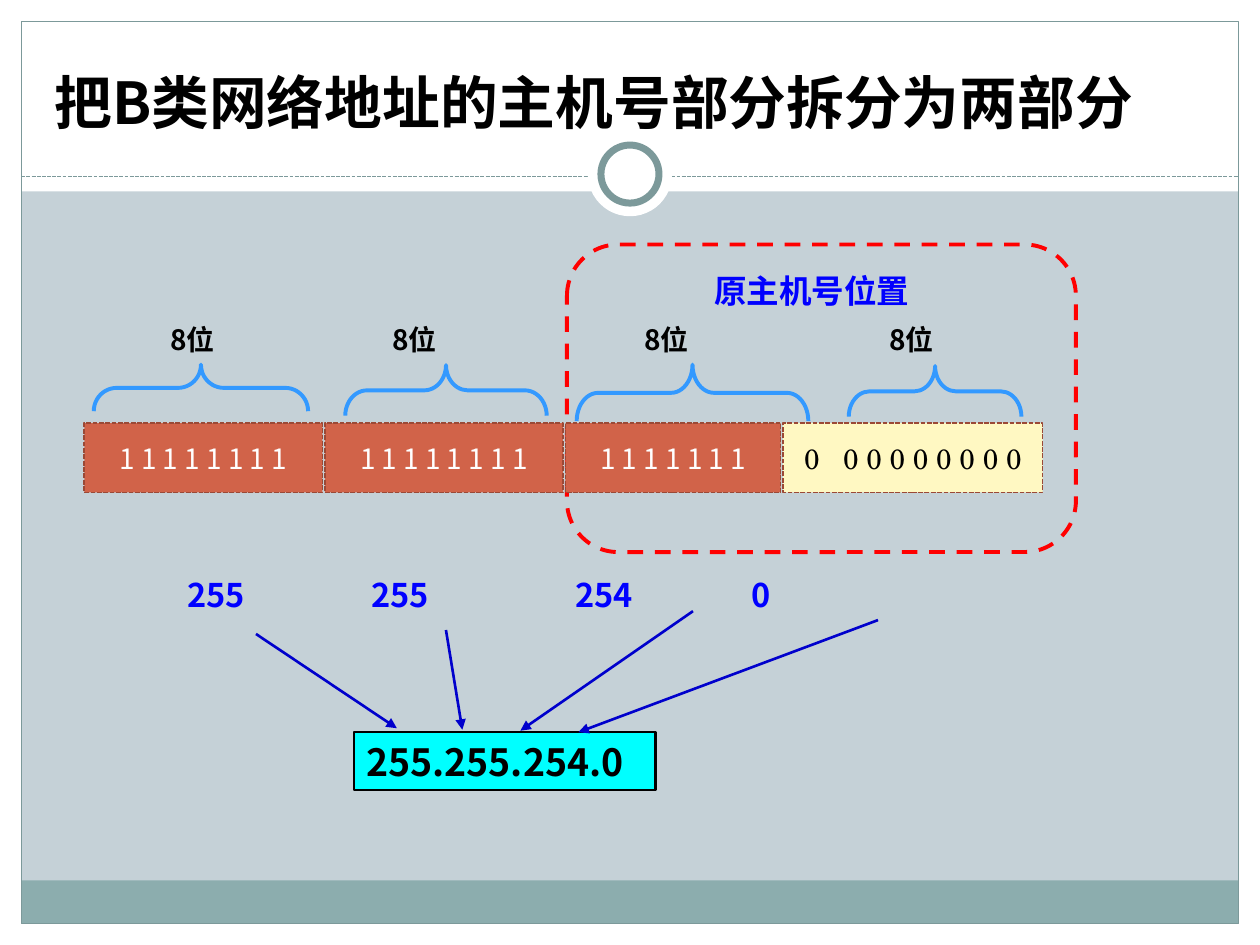
import pptx
import pptx.util
import pptx.dml.color
import pptx.enum.dml
import pptx.enum.shapes
import pptx.enum.text
import pptx.oxml.ns
from lxml import etree

Cm, Pt = pptx.util.Cm, pptx.util.Pt
FORM = pptx.enum.shapes.MSO_SHAPE
DASH = pptx.enum.dml.MSO_LINE
ALIGN = pptx.enum.text.PP_ALIGN
ANCHOR = pptx.enum.text.MSO_ANCHOR
qn = pptx.oxml.ns.qn
SANS, SERIF = "Noto Sans CJK SC", "TeX Gyre Schola"
HUE = {
    "back": "C5D1D7", "white": "FFFFFF", "black": "000000", "band": "8CADAE",
    "rim": "7C999A", "red": "FF0000", "brick": "D16349", "edge": "9B4936",
    "cream": "FFF8C2", "sky": "3399FF", "cyan": "00FFFF", "navy": "0000CC",
    "blue": "0000FF",
}


def tint(name):
    return pptx.dml.color.RGBColor.from_string(HUE[name])


def stroke(line, hue, width, dash=None):
    line.color.rgb = tint(hue)
    line.width = Pt(width)
    if dash:
        line.dash_style = dash


def draw(slide, form, box, fill=None, line=None):
    """Add a preset shape; line is (hue, width, dash)."""
    shape = slide.shapes.add_shape(form, *map(Cm, box))
    shape.shadow.inherit = False
    if fill:
        shape.fill.solid()
        shape.fill.fore_color.rgb = tint(fill)
    else:
        shape.fill.background()
    if line:
        stroke(shape.line, *line)
    else:
        shape.line.fill.background()
    return shape


def link(shapes, ends, hue, width, dash=None, arrow=False):
    line = shapes.add_connector(pptx.enum.shapes.MSO_CONNECTOR.STRAIGHT, *map(Cm, ends))
    stroke(line.line, hue, width, dash)
    props = line.element.spPr
    if arrow:
        etree.SubElement(props.find(qn("a:ln")), qn("a:tailEnd"), type="triangle")
    etree.SubElement(props, qn("a:effectLst"))


def put(shape, *parts, size=16, hue="black", bold=False, font=SANS,
        align=ALIGN.LEFT, anchor=ANCHOR.MIDDLE, tabs=(), gap=None):
    """Write the parts as runs; gap widens the letter spacing of a blank run."""
    frame = shape.text_frame
    frame.word_wrap = True
    frame.vertical_anchor = anchor
    frame.margin_top = frame.margin_bottom = 0
    para = frame.paragraphs[0]
    para.alignment = align
    if tabs:
        stops = etree.SubElement(para._p.get_or_add_pPr(), qn("a:tabLst"))
        for stop in tabs:
            etree.SubElement(stops, qn("a:tab"), pos=str(Cm(stop)), algn="l")
    for part in parts:
        run = para.add_run()
        run.text = part
        run.font.size, run.font.bold, run.font.name = Pt(size), bold, font
        run.font.color.rgb = tint(hue)
        props = run.font._element
        etree.SubElement(props, qn("a:ea"), typeface=font)
        if gap and part == " ":
            props.set("spc", str(gap))


def label(slide, box, text, **form):
    put(slide.shapes.add_textbox(*map(Cm, box)), text, bold=True, **form)


def border(slide, box):
    """White margins, footer band, rule and ring."""
    x, y, w, h = box
    side = 0.43
    for edge in [(x, y + h - side, w, side), (x, y, w, 3.86),
                 (x, y, side, h), (x + w - side, y, side, h)]:
        draw(slide, FORM.RECTANGLE, edge, "white")
    inner = w - 2 * side
    draw(slide, FORM.RECTANGLE, (x + side, y + 17.75, inner, 0.87), "band")
    draw(slide, FORM.RECTANGLE, (x + side, y + side, inner, h - 2 * side),
         line=("rim", 0.75))
    link(slide.shapes, (x + side, y + 3.56, x + w - side, y + 3.56),
         "rim", 0.75, DASH.SQUARE_DOT)
    for size, line in [(1.7, None), (1.17, ("rim", 4))]:
        draw(slide, FORM.OVAL, (x + (w - size) / 2, y + 3.51 - size / 2, size, size),
             "white", line)


def head(slide, box):
    title = slide.shapes.title
    title.left, title.top, title.width, title.height = map(Cm, box)
    put(title, "把B类网络地址的主机号部分拆分为两部分", size=33, bold=True,
        anchor=ANCHOR.BOTTOM)
    # Bring the title in front of the border
    title.element.getparent().append(title.element)


def host(slide, box):
    """Dashed outline around the former host part."""
    x, y, w, h = box
    draw(slide, FORM.ROUNDED_RECTANGLE, box, line=("red", 2.25, DASH.DASH))
    label(slide, (x + 2.72, y + 0.4, 5.92, 1.04), "原主机号位置", size=18.6, hue="blue")


def bits(slide, box):
    """Four bit fields with braces and width labels."""
    x, y, w, h = box
    ones = ["1 1 1 1 1 1 1 1"]
    cells = [
        (4.8, ones, {}), (4.8, ones, {}), (4.34, ["1 1 1 1 1 1 1"], {}),
        (5.23, ["0", " ", "0 0 0 0 0 0 0 0"],
         dict(hue="black", font=SERIF, gap=890)),
    ]
    left, tall = x, 1.4
    for wide, text, form in cells:
        fill = "cream" if form else "brick"
        cell = draw(slide, FORM.RECTANGLE, (left, y + h - tall, wide, tall), fill,
                    ("edge", 0.9, DASH.SQUARE_DOT))
        put(cell, *text, align=ALIGN.CENTER, **{"hue": "white", **form})
        left += wide + 0.05

    # Braces: centre, span, depth, curl
    for mid, down, span, deep, curl in [
            (2.35, 1.44, 4.32, 0.94, 0.49), (7.29, 1.49, 4.06, 1.02, 0.43),
            (12.26, 1.54, 4.67, 1.14, 0.38), (17.15, 1.51, 3.48, 1.02, 0.41)]:
        brace = draw(slide, FORM.LEFT_BRACE,
                     (x + mid - deep / 2, y + down - span / 2, deep, span),
                     line=("sky", 2.25))
        brace.rotation = 90
        brace.adjustments[0] = curl
    label(slide, (x + 1.48, y, 16.74, 0.94), "\t".join(["8位"] * 4),
          tabs=(4.48, 9.56, 14.5))


def mask(slide, box):
    """Decimal values that lead to the subnet mask."""
    x, y, w, h = box
    label(slide, (x, y, w, 1.04), "255\t255\t254\t0", size=18.6, hue="blue",
          tabs=(3.71, 7.82, 11.38))
    total = draw(slide, FORM.RECTANGLE, (x + 3.61, y + 3.3, 6.07, 1.17), "cyan",
                 ("black", 1.5))
    put(total, "255.255.254.0", size=21.4, bold=True)
    group = slide.shapes.add_group_shape()
    for x1, y1, x2, y2 in [(1.63, 1.32, 4.47, 3.22), (5.46, 1.24, 5.79, 3.25),
                           (10.44, 0.86, 6.96, 3.27), (14.17, 1.04, 8.13, 3.3)]:
        link(group.shapes, (x + x1, y + y1, x + x2, y + y2), "navy", 1.5, arrow=True)


def main():
    deck = pptx.Presentation()
    deck.slide_width, deck.slide_height = Cm(25.4), Cm(19.05)
    slide = deck.slides.add_slide(deck.slide_layouts[5])
    slide.background.fill.solid()
    slide.background.fill.fore_color.rgb = tint("back")
    border(slide, (0, 0, 25.4, 19.05))
    head(slide, (0.84, 0.64, 23.7, 2.11))
    host(slide, (11.43, 4.93, 10.26, 6.2))
    bits(slide, (1.7, 6.38, 19.32, 3.55))
    mask(slide, (3.53, 11.46, 18.77, 4.47))
    deck.save("out.pptx")


if __name__ == "__main__":
    main()
